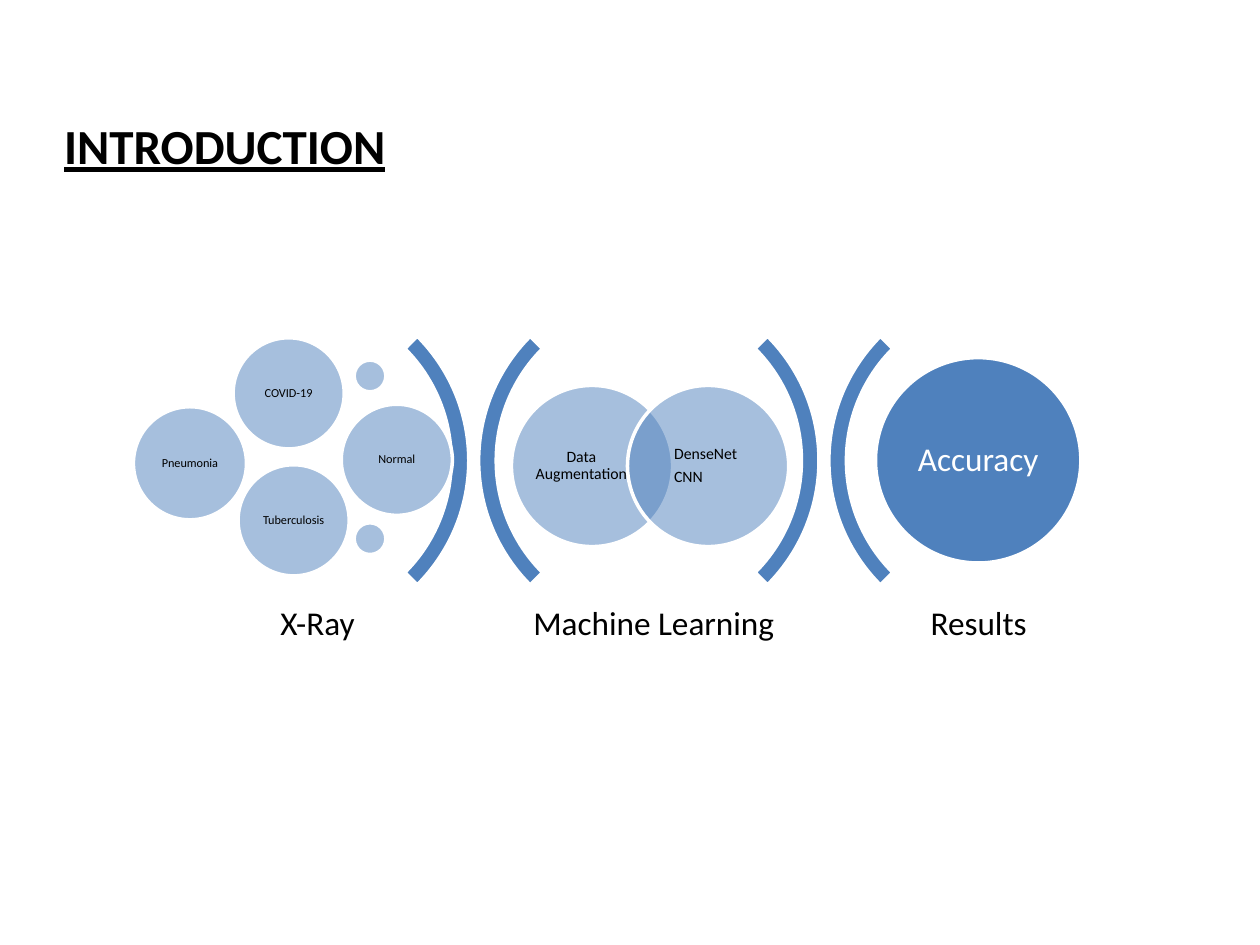
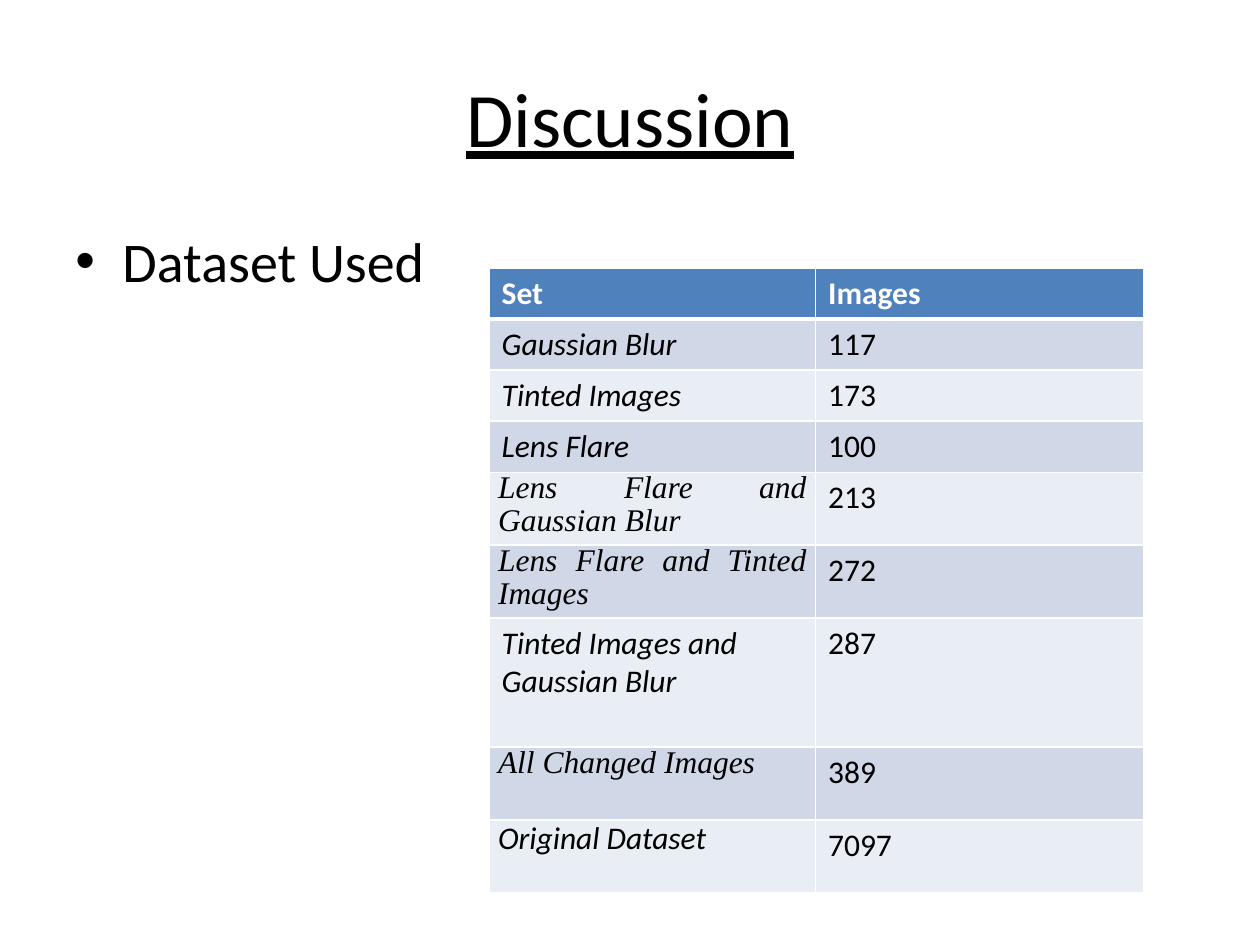
from dataclasses import dataclass

from lxml.etree import SubElement
from pptx import Presentation
from pptx.dml.color import RGBColor
from pptx.enum.shapes import MSO_SHAPE as Shape
from pptx.enum.text import MSO_ANCHOR as Anchor, MSO_AUTO_SIZE as AutoSize, PP_ALIGN as Align
from pptx.oxml import parse_xml
from pptx.oxml.ns import nsdecls, qn
from pptx.util import Cm, Pt

BLUE, WHITE, BLACK = "4F81BD", "FFFFFF", "000000"
BANDS = ("E9EDF4", "D0D8E8")
SANS, SERIF = "Calibri", "Times New Roman"


@dataclass(frozen=True)
class Box:
    """A rectangle in centimetres."""

    x: float
    y: float
    w: float
    h: float

    def cm(self) -> tuple:
        """Return the four lengths for python-pptx."""
        return Cm(self.x), Cm(self.y), Cm(self.w), Cm(self.h)


@dataclass(frozen=True)
class Font:
    """The character format of a run."""

    size: float
    color: str = BLACK
    bold: bool = False
    italic: bool = False
    underline: bool = False
    name: str = SANS


@dataclass(frozen=True)
class Circle:
    """A disc of the process diagram."""

    x: float
    y: float
    d: float
    text: str = ""
    size: float = 7
    color: str = BLACK
    alpha: int = 50


@dataclass(frozen=True)
class Row:
    """A dataset with its image count; tight rows have narrow margins."""

    name: str
    images: str
    height: float = 1.03
    tight: bool = False
    face: str = SANS


STAGES = (("X-Ray", 3.71), ("Machine Learning", 10.49), ("Results", 17.04))
CIRCLES = (
    Circle(10.31, 7.77, 3.25),
    Circle(12.65, 7.77, 3.25),
    Circle(4.7, 6.81, 2.24, "COVID-19"),
    Circle(2.69, 8.2, 2.28, "Pneumonia"),
    Circle(7.14, 7.26, 0.64),
    Circle(6.88, 8.15, 2.24, "Normal"),
    Circle(7.14, 10.54, 0.64),
    Circle(4.8, 9.37, 2.24, "Tuberculosis"),
    Circle(17.65, 7.21, 4.14, "Accuracy", 19, WHITE, 100),
)
ROWS = (
    Row("Gaussian Blur", "117"),
    Row("Tinted Images", "173"),
    Row("Lens Flare", "100"),
    Row("Lens Flare and Gaussian Blur", "213", 1.47, True, SERIF),
    Row("Lens Flare and Tinted Images", "272", 1.47, True, SERIF),
    Row("Tinted Images and Gaussian Blur", "287", 2.6),
    Row("All Changed Images", "389", 1.47, True, SERIF),
    Row("Original Dataset", "7097", 1.47, True),
)


def rgb(color: str) -> RGBColor:
    """Turn a hex string into a colour."""
    return RGBColor.from_string(color)


def add_run(p, text: str, font: Font) -> None:
    """Append a formatted run to a paragraph."""
    r = p.add_run()
    r.text = text
    f = r.font
    f.name, f.size = font.name, Pt(font.size)
    f.bold, f.italic, f.underline = font.bold, font.italic, font.underline
    f.color.rgb = rgb(font.color)


def write(tf, lines: tuple, font: Font, align=Align.CENTER, margin: float = 0) -> None:
    """Fill a diagram text frame, one paragraph per line."""
    tf.word_wrap, tf.vertical_anchor = True, Anchor.MIDDLE
    tf.margin_left = tf.margin_right = tf.margin_top = tf.margin_bottom = Cm(margin)
    for i, line in enumerate(lines):
        p = tf.add_paragraph() if i else tf.paragraphs[0]
        p.alignment, p.line_spacing = align, 0.9
        p.space_after = Pt(round(font.size * 0.35))
        add_run(p, line, font)


def add_slide(prs, title: str, box: Box, font: Font, anchor):
    """Add a title-only slide with its title placed and formatted."""
    s = prs.slides.add_slide(prs.slide_layouts[5])
    sp = s.shapes.title
    sp.left, sp.top, sp.width, sp.height = box.cm()
    tf = sp.text_frame
    tf.auto_size, tf.vertical_anchor = AutoSize.NONE, anchor
    p = tf.paragraphs[0]
    p.alignment = Align.CENTER
    add_run(p, title, font)
    return s


def add_solid(s, kind, box: Box, alpha: int = 100):
    """Add a blue shape with a white outline."""
    sp = s.shapes.add_shape(kind, *box.cm())
    sp.shadow.inherit = False
    sp.fill.solid()
    sp.fill.fore_color.rgb = rgb(BLUE)
    sp.line.color.rgb, sp.line.width = rgb(WHITE), Pt(2)
    if alpha < 100:
        clr = sp.fill._xPr.find(qn("a:solidFill"))[0]
        SubElement(clr, qn("a:alpha"), val=str(alpha * 1000))
    return sp


def add_arc(s, x: float, rotation: int) -> None:
    """Add one of the brackets between stages."""
    sp = add_solid(s, Shape.BLOCK_ARC, Box(x, 5.74, 7.09, 7.09))
    sp.rotation = rotation
    for i, value in enumerate((135, 189, 0.05)):
        sp.adjustments[i] = value


def add_text(s, box: Box, lines: tuple, font: Font, align=Align.CENTER) -> None:
    """Add a diagram text box."""
    write(s.shapes.add_textbox(*box.cm()).text_frame, lines, font, align)


def set_borders(cell, top: int, bottom: int) -> None:
    """Draw white cell borders with widths in points."""
    tc_pr = cell._tc.get_or_add_tcPr()
    for i, (side, width) in enumerate((("L", 1), ("R", 1), ("T", top), ("B", bottom))):
        tc_pr.insert(i, parse_xml(
            f'<a:ln{side} {nsdecls("a")} w="{Pt(width)}"><a:solidFill>'
            f'<a:srgbClr val="{WHITE}"/></a:solidFill></a:ln{side}>'))


def fill_cell(cell, text: str, font: Font, fill: str, tight: bool = False):
    """Write a table cell on a plain fill."""
    cell.fill.solid()
    cell.fill.fore_color.rgb = rgb(fill)
    p = cell.text_frame.paragraphs[0]
    if tight:
        cell.margin_left = cell.margin_right = Cm(0.18)
        cell.margin_top = cell.margin_bottom = 0
        p.alignment, p.line_spacing, p.space_after = Align.JUSTIFY, 0.95, Pt(6)
    add_run(p, text, font)


def add_bullet(s, text: str) -> None:
    """Add the bulleted body text."""
    tf = s.shapes.add_textbox(*Box(1.27, 4.45, 22.86, 12.57).cm()).text_frame
    tf.word_wrap = True
    p = tf.paragraphs[0]
    p.space_before = Pt(6)
    p_pr = p._p.get_or_add_pPr()
    p_pr.set("marL", str(Cm(0.95)))
    p_pr.set("indent", str(Cm(-0.95)))
    SubElement(p_pr, qn("a:buFont"), typeface="Arial")
    SubElement(p_pr, qn("a:buChar"), char="•")
    add_run(p, text, Font(32))


def add_dataset_table(s) -> None:
    """Add the table of image counts."""
    rows = (Row("Set", "Images"),) + ROWS
    height = sum(row.height for row in rows)
    table = s.shapes.add_table(len(rows), 2, *Box(9.86, 5.4, 13.2, height).cm()).table
    for col, width in zip(table.columns, (6.58, 6.62)):
        col.width = Cm(width)
    for i, row in enumerate(rows):
        table.rows[i].height = Cm(row.height)
        name, images = table.cell(i, 0), table.cell(i, 1)
        if i:
            fill = BANDS[i % 2]
            fill_cell(name, row.name, Font(18, italic=True, name=row.face), fill, row.tight)
            fill_cell(images, row.images, Font(18), fill)
        else:
            for cell, text in ((name, row.name), (images, row.images)):
                fill_cell(cell, text, Font(18, WHITE, bold=True), BLUE)
        for cell in (name, images):
            set_borders(cell, 3 if i == 1 else 1, 1 if i else 3)


def add_introduction(prs) -> None:
    """Build the slide with the process diagram."""
    s = add_slide(prs, "INTRODUCTION", Box(0.2, 2.21, 8.66, 1.45),
                  Font(28, bold=True, underline=True), Anchor.TOP)
    for i in range(2):
        x = 2.36 + 7.06 * i
        add_arc(s, x, 90)
        add_arc(s, x + 7.29, 270)
    for label, x in STAGES:
        add_text(s, Box(x, 11.89, 5.38, 1.42), (label,), Font(19))
    for c in CIRCLES:
        sp = add_solid(s, Shape.OVAL, Box(c.x, c.y, c.d, c.d), c.alpha)
        if c.text:
            write(sp.text_frame, (c.text,), Font(c.size, c.color))
    add_text(s, Box(10.77, 8.15, 1.9, 2.49), ("Data Augmentation",), Font(9))
    add_text(s, Box(13.59, 8.15, 1.9, 2.49), ("DenseNet", "CNN"), Font(9), Align.LEFT)


def add_discussion(prs) -> None:
    """Build the slide with the dataset table."""
    s = add_slide(prs, "Discussion", Box(1.27, 0.76, 22.86, 3.18),
                  Font(44, underline=True), Anchor.MIDDLE)
    add_bullet(s, "Dataset Used")
    add_dataset_table(s)


def main() -> None:
    """Build and save the presentation."""
    prs = Presentation()
    prs.slide_width, prs.slide_height = Cm(25.4), Cm(19.05)
    add_introduction(prs)
    add_discussion(prs)
    prs.save("out.pptx")


if __name__ == "__main__":
    main()
